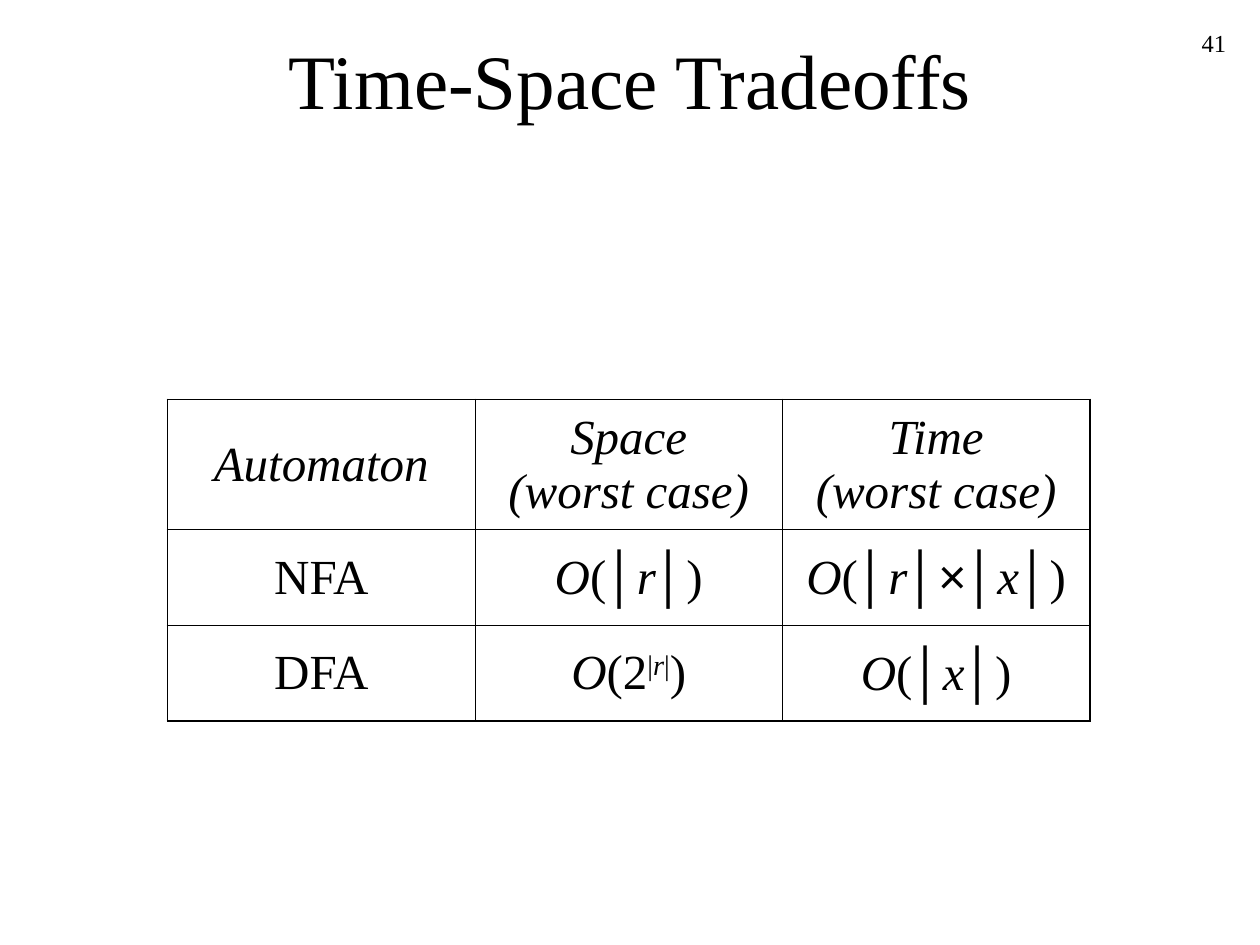
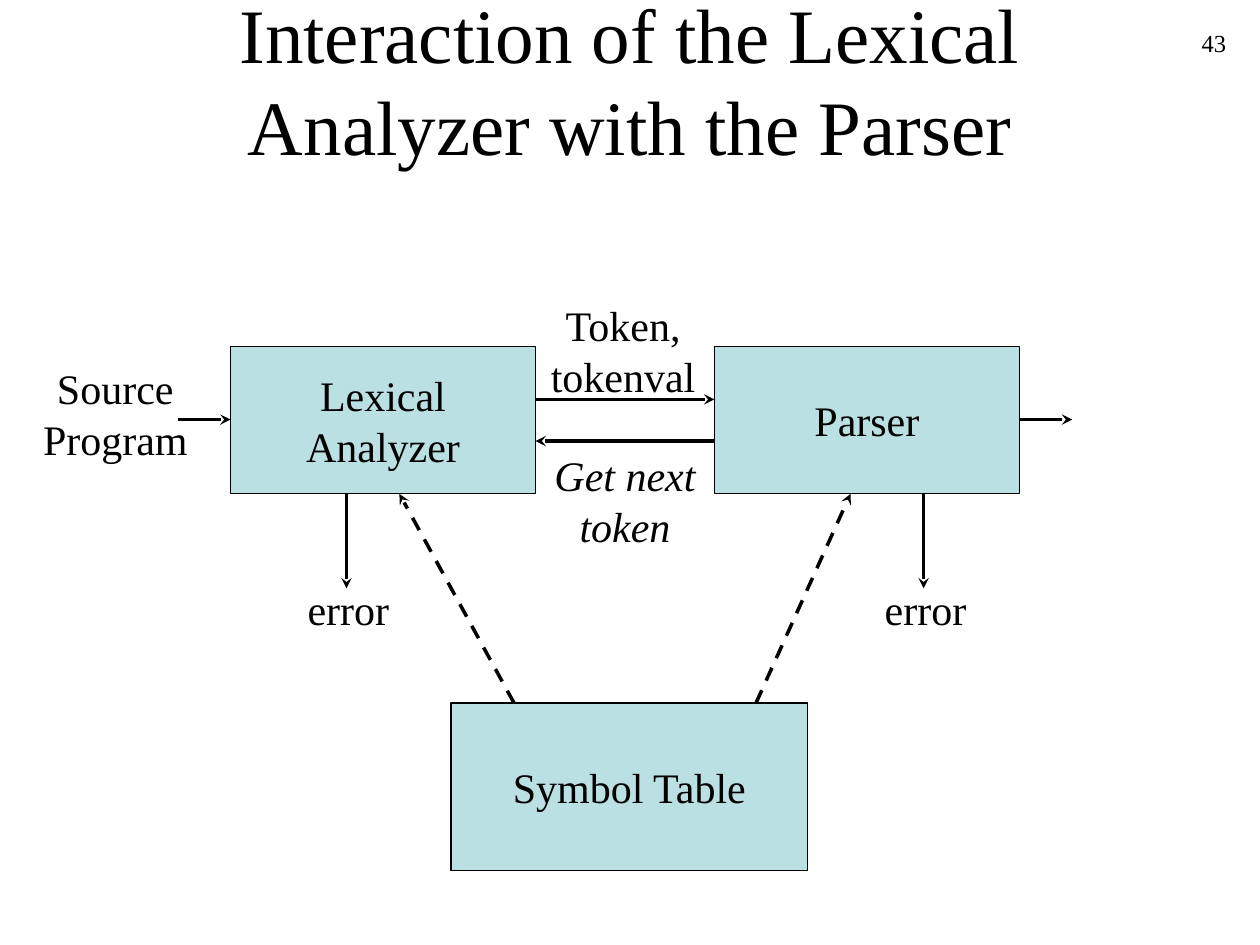
"""Builds two slides on lexical analysis: automaton tradeoffs and parser interaction."""
from lxml import etree
from pptx import Presentation
from pptx import util as u
from pptx.dml.color import RGBColor
from pptx.enum import dml, shapes, text
from pptx.oxml import ns

BLACK = RGBColor(0x00, 0x00, 0x00)
BOX_FILL = RGBColor(0xBB, 0xE0, 0xE3)
SERIF, SANS = "Times New Roman", "Arial"
TITLE_ONLY = 5
OUTER, INNER = 1.08, 0.45
BAR = ("│", "a")


class Deck:
    """Holds the shared style and the current slide."""

    def __init__(self):
        self.prs = Presentation()
        self.prs.slide_width, self.prs.slide_height = u.Inches(10), u.Inches(7.5)
        self.s = None

    def format(self, p, size, italic=False, align=text.PP_ALIGN.CENTER):
        p.alignment = align
        for r in p.runs:
            f = r.font
            f.name, f.size, f.italic = SERIF, u.Pt(size), italic
            f.color.rgb = BLACK

    def slide(self, title, number):
        self.s = self.prs.slides.add_slide(self.prs.slide_layouts[TITLE_ONLY])
        self.label(number, 7.75, 0.17, 2.08, 0.5, 14, align=text.PP_ALIGN.RIGHT)
        sp = self.s.shapes.title
        sp.left, sp.top, sp.width, sp.height = map(u.Inches, (0.75, 0, 8.5, 1.25))
        tf = sp.text_frame
        tf.text = title
        tf.word_wrap, tf.auto_size = True, text.MSO_AUTO_SIZE.NONE
        tf.vertical_anchor = text.MSO_ANCHOR.MIDDLE
        self.format(tf.paragraphs[0], 44)

    def label(self, words, x, y, w, h, size=24, italic=False, align=text.PP_ALIGN.CENTER):
        sp = self.s.shapes.add_textbox(*map(u.Inches, (x, y, w, h)))
        tf = sp.text_frame
        tf.word_wrap = size != 24
        p = tf.paragraphs[0]
        p.text = words
        self.format(p, size, italic, align)

    def box(self, words, x, y, w, h):
        sp = self.s.shapes.add_shape(shapes.MSO_SHAPE.RECTANGLE, *map(u.Inches, (x, y, w, h)))
        sp.shadow.inherit = False
        sp.fill.solid()
        sp.fill.fore_color.rgb = BOX_FILL
        sp.line.color.rgb, sp.line.width = BLACK, u.Pt(0.75)
        tf = sp.text_frame
        tf.word_wrap, tf.vertical_anchor = False, text.MSO_ANCHOR.MIDDLE
        p = tf.paragraphs[0]
        p.text = words
        self.format(p, 24)

    def arrow(self, x1, y1, x2, y2, dashed=False):
        c = self.s.shapes.add_connector(shapes.MSO_CONNECTOR.STRAIGHT,
                                        *map(u.Inches, (x1, y1, x2, y2)))
        c.line.color.rgb, c.line.width = BLACK, u.Pt(2)
        if dashed:
            c.line.dash_style = dml.MSO_LINE.DASH
        etree.SubElement(c.line._get_or_add_ln(), ns.qn("a:tailEnd"), type="stealth")
        etree.SubElement(c._element.spPr, ns.qn("a:effectLst"))

    def borders(self, cell, widths):
        tc_pr = cell._tc.get_or_add_tcPr()
        for i, (side, width) in enumerate(zip("LRTB", widths)):
            ln = etree.Element(ns.qn(f"a:ln{side}"), w=str(u.Pt(width)))
            fill = etree.SubElement(ln, ns.qn("a:solidFill"))
            etree.SubElement(fill, ns.qn("a:srgbClr"), val=str(BLACK))
            tc_pr.insert(i, ln)

    def cell(self, cell, content, italic):
        cell.fill.background()
        cell.vertical_anchor = text.MSO_ANCHOR.MIDDLE
        p = cell.text_frame.paragraphs[0]
        p.space_before = u.Pt(7)
        if isinstance(content, str):
            p.text = content
            self.format(p, 28, italic)
            return
        for part, _ in content:
            p.add_run().text = part
        self.format(p, 28)
        for r, (_, style) in zip(p.runs, content):
            r.font.italic = "i" in style
            r.font.name = SANS if "a" in style else SERIF
            if "^" in style:
                r._r.get_or_add_rPr().set("baseline", "30000")

    def table(self, rows, x, y, col_width, heights):
        n, m = len(rows), len(rows[0])
        size = (x, y, col_width * m, sum(heights))
        t = self.s.shapes.add_table(n, m, *map(u.Inches, size)).table
        t.first_row = t.horz_banding = False
        for col in t.columns:
            col.width = u.Inches(col_width)
        for i, row in enumerate(rows):
            t.rows[i].height = u.Inches(heights[i])
            for j, content in enumerate(row):
                self.cell(t.cell(i, j), content, i == 0)
                edges = (j == 0, j == m - 1, i == 0, i == n - 1)
                self.borders(t.cell(i, j), [OUTER if e else INNER for e in edges])


def order(*parts):
    """Wraps formula parts in big-O notation."""
    return [("O", "i"), ("(", ""), *parts, (")", "")]


def main():
    """Builds and saves the deck."""
    d = Deck()
    r, x = ("r", "i"), ("x", "i")

    d.slide("Time-Space Tradeoffs", "41")
    d.table([
        ["Automaton", "Space\n(worst case)", "Time\n(worst case)"],
        ["NFA", order(BAR, r, BAR), order(BAR, r, ("│×│", "a"), x, BAR)],
        ["DFA", order(("2", ""), ("|", "^"), ("r", "i^"), ("|", "^")), order(BAR, x, BAR)],
    ], 1.33, 3.17, 2.44, [1.03, 0.76, 0.76])

    d.slide("Interaction of the Lexical Analyzer with the Parser", "43")
    box_top, box_w, box_h = 2.75, 2.42, 1.17
    lexer_x, parser_x, table_top = 1.83, 5.67, 5.58
    lexer_end, parser_end = lexer_x + box_w, parser_x + box_w
    box_end = box_top + box_h
    d.box("Lexical\nAnalyzer", lexer_x, box_top, box_w, box_h)
    d.box("Parser", parser_x, box_top, box_w, box_h)
    d.box("Symbol Table", 3.58, table_top, 2.83, 1.33)

    d.label("Source\nProgram", 0.24, 2.83, 1.35, 0.9)
    d.label("Token,\ntokenval", 4.27, 2.33, 1.35, 0.9)
    d.label("Get next\ntoken", 4.3, 3.52, 1.32, 0.9, italic=True)

    d.arrow(lexer_end, 3.17, parser_x, 3.17)
    d.arrow(parser_x, 3.5, lexer_end, 3.5)
    for start in (lexer_x - 0.42, parser_end):
        d.arrow(start, 3.33, start + 0.42, 3.33)
    for start, end in ((6, 6.75), (4.08, 3.17)):
        d.arrow(start, table_top, end, box_end, dashed=True)
    for error_x in (2.75, 7.33):
        d.arrow(error_x, box_end, error_x, 4.67)
        d.label("error", error_x - 0.41, 4.58, 0.85, 0.5)

    d.prs.save("out.pptx")


if __name__ == "__main__":
    main()
